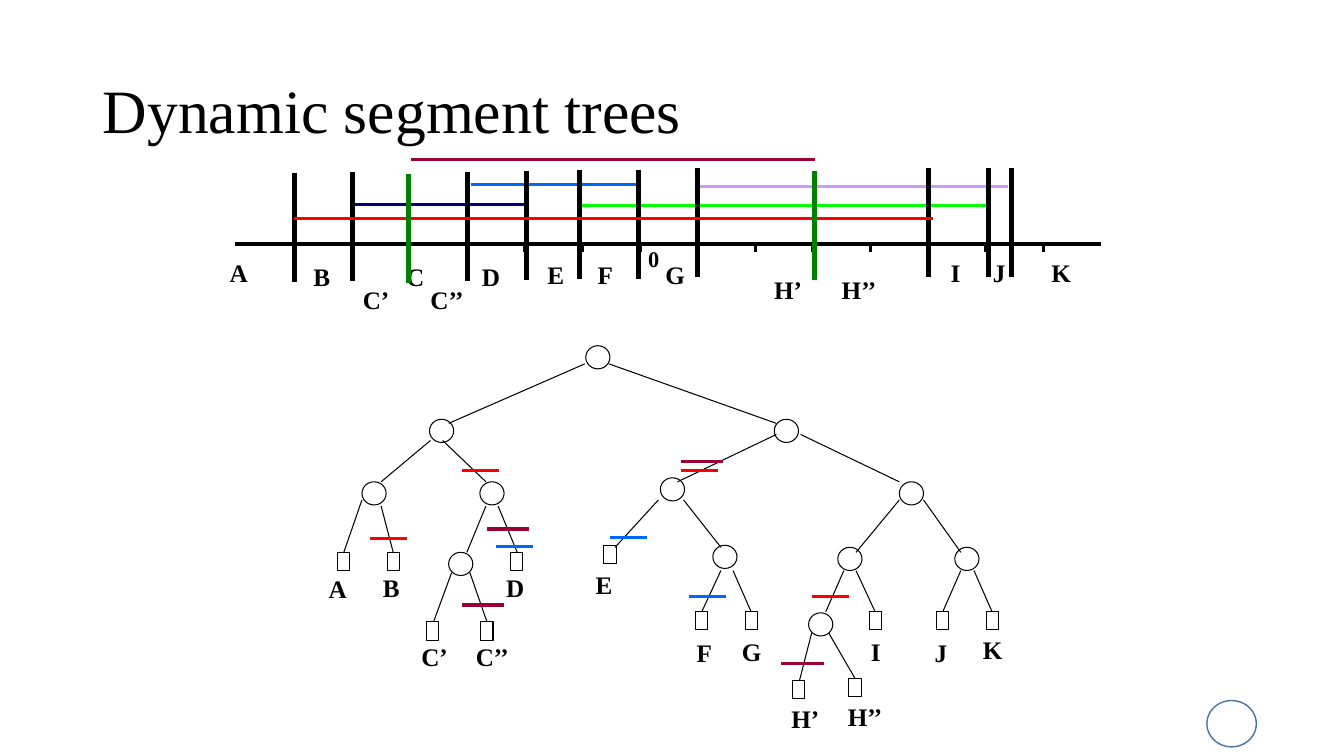
import dataclasses

import lxml.etree
import pptx
import pptx.dml.color
import pptx.enum.shapes
import pptx.enum.text
import pptx.oxml.ns
import pptx.util


@dataclasses.dataclass(frozen=True)
class Theme:
    font: str = "Times New Roman"
    title_size: float = 44
    label_size: float = 18
    zero_size: float = 16
    black: str = "000000"
    red: str = "FF0000"
    blue: str = "0066FF"
    navy: str = "000080"
    lime: str = "00FF00"
    lilac: str = "CC99FF"
    maroon: str = "990033"
    green: str = "008000"
    badge: str = "43739E"
    edge: float = 0.75
    badge_line: float = 1
    segment: float = 2
    axis: float = 2.5
    boundary: float = 3.5


def inches(value):
    return pptx.util.Cm(value * 2.54)


def rgb(color):
    return pptx.dml.color.RGBColor.from_string(color)


class SegmentTreeSlide:
    def __init__(self, presentation, theme):
        self.theme = theme
        self.slide = presentation.slides.add_slide(presentation.slide_layouts[5])
        self.shapes = self.slide.shapes

    def style_text(self, frame, text, size, bold):
        frame.text = text
        paragraph = frame.paragraphs[0]
        paragraph.alignment = pptx.enum.text.PP_ALIGN.LEFT
        paragraph.font.name = self.theme.font
        paragraph.font.size = pptx.util.Pt(size)
        paragraph.font.bold = bold
        paragraph.font.color.rgb = rgb(self.theme.black)
        return paragraph

    def title(self, text, left, top, width, height):
        heading = self.shapes.title
        heading.left, heading.top = inches(left), inches(top)
        heading.width, heading.height = inches(width), inches(height)
        frame = heading.text_frame
        frame.auto_size = pptx.enum.text.MSO_AUTO_SIZE.NONE
        frame.vertical_anchor = pptx.enum.text.MSO_ANCHOR.MIDDLE
        self.style_text(frame, text, self.theme.title_size, False).line_spacing = 0.9

    def label(self, text, left, top, width, height=0.4, size=None, wrap=False, rotation=0):
        box = self.shapes.add_textbox(*map(inches, (left, top, width, height)))
        box.rotation = rotation
        frame = box.text_frame
        frame.word_wrap = wrap
        frame.auto_size = pptx.enum.text.MSO_AUTO_SIZE.SHAPE_TO_FIT_TEXT
        self.style_text(frame, text, size or self.theme.label_size, True)

    def line(self, x1, y1, x2, y2, color, weight):
        connector = self.shapes.add_connector(
            pptx.enum.shapes.MSO_CONNECTOR.STRAIGHT, *map(inches, (x1, y1, x2, y2)))
        connector.line.color.rgb = rgb(color)
        connector.line.width = pptx.util.Pt(weight)
        lxml.etree.SubElement(connector._element.spPr, pptx.oxml.ns.qn("a:effectLst"))

    def outline(self, kind, left, top, width, height, color, weight):
        shape = self.shapes.add_shape(kind, *map(inches, (left, top, width, height)))
        shape.shadow.inherit = False
        shape.fill.background()
        shape.line.color.rgb = rgb(color)
        shape.line.width = pptx.util.Pt(weight)

    def inner_node(self, left, top):
        self.outline(pptx.enum.shapes.MSO_SHAPE.OVAL, left, top, 0.24, 0.23,
                     self.theme.black, self.theme.edge)

    def leaf(self, left, top):
        self.outline(pptx.enum.shapes.MSO_SHAPE.RECTANGLE, left, top, 0.12, 0.18,
                     self.theme.black, self.theme.edge)

    def badge(self, left, top, width, height):
        self.outline(pptx.enum.shapes.MSO_SHAPE.OVAL, left, top, width, height,
                     self.theme.badge, self.theme.badge_line)


THEME = Theme()

SEGMENTS = [
    (5.75, 9.83, 2.04, THEME.lime), (6.92, 10, 1.85, THEME.lilac),
    (3.5, 5.25, 2.03, THEME.navy), (4.67, 6.33, 1.83, THEME.blue),
]
BOUNDARIES = [
    (2.92, 1.72), (3.5, 1.71), (4.64, 1.71), (5.22, 1.7), (5.75, 1.69),
    (6.33, 1.69), (6.92, 1.67), (9.21, 1.67), (9.8, 1.67), (10.03, 1.67),
]
NEW_BOUNDARIES = [(4.05, 1.73), (8.08, 1.7)]
INTERVAL_LABELS = [
    ("A", 2.18, 2.5, 0.42), ("B", 3.01, 2.54, 0.42), ("C", 3.93, 2.54, 0.42),
    ("D", 4.68, 2.54, 0.42), ("E", 5.33, 2.52, 0.42), ("F", 5.83, 2.52, 0.42),
    ("G", 6.5, 2.52, 0.42), ("I", 9.33, 2.5, 0.42), ("J", 9.75, 2.5, 0.42),
    ("K", 10.33, 2.5, 0.42), ("C’", 3.5, 2.77, 0.5), ("C’’", 4.17, 2.77, 0.67),
    ("H’", 7.58, 2.67, 0.5), ("H’’", 8.25, 2.67, 0.67),
]
INNER_NODES = [
    (5.81, 3.43), (4.26, 4.16), (7.68, 4.16), (3.59, 4.78), (4.76, 4.78),
    (6.55, 4.74), (8.92, 4.78), (4.45, 5.48), (7.07, 5.41), (8.31, 5.43),
    (9.47, 5.43), (8.02, 6.08),
]
LEAVES = [
    (3.35, 5.48), (3.84, 5.48), (5.06, 5.48), (5.99, 5.41), (4.23, 6.17),
    (4.77, 6.17), (6.9, 6.07), (7.39, 6.07), (8.62, 6.07), (9.29, 6.07),
    (9.78, 6.07), (7.86, 6.75), (8.42, 6.73),
]
EDGES = [
    (5.8, 3.61, 4.45, 4.2), (6.04, 3.61, 7.7, 4.2),
    (4.27, 4.37, 3.78, 4.78), (4.39, 4.37, 4.82, 4.78),
    (7.7, 4.31, 6.72, 4.78), (7.94, 4.31, 8.92, 4.78),
    (3.59, 4.96, 3.41, 5.48), (3.78, 5.02, 3.9, 5.48),
    (4.82, 5.02, 4.63, 5.48), (4.94, 5.02, 5.13, 5.48),
    (6.53, 4.96, 6.1, 5.43), (6.78, 4.96, 7.15, 5.43),
    (8.92, 4.96, 8.49, 5.48), (9.16, 4.96, 9.53, 5.48),
    (4.48, 5.68, 4.3, 6.17), (4.66, 5.68, 4.83, 6.17),
    (7.15, 5.66, 6.96, 6.07), (7.27, 5.66, 7.45, 6.07),
    (8.37, 5.66, 8.19, 6.07), (8.49, 5.66, 8.68, 6.07),
    (9.53, 5.66, 9.35, 6.07), (9.66, 5.66, 9.84, 6.07),
    (8.05, 6.28, 7.93, 6.75), (8.22, 6.28, 8.48, 6.73),
]
LEAF_LABELS = [
    ("A", 3.16, 5.64, 0.38), ("B", 3.7, 5.63, 0.37), ("C’", 4.08, 6.31, 0.47),
    ("C’’", 4.62, 6.31, 0.55), ("D", 4.92, 5.63, 0.38), ("E", 5.81, 5.6, 0.37),
    ("F", 6.81, 6.27, 0.35), ("G", 7.26, 6.26, 0.4), ("H’", 7.75, 6.93, 0.48),
    ("H’’", 8.31, 6.91, 0.56), ("I", 8.54, 6.26, 0.3), ("J", 9.17, 6.27, 0.33),
    ("K", 9.65, 6.24, 0.4),
]
STORED_MARKS = [
    (THEME.blue, THEME.segment, 0.37, [(4.92, 5.42), (6.05, 5.33), (6.83, 5.92)]),
    (THEME.red, THEME.segment, 0.37, [(3.67, 5.34), (4.58, 4.67), (6.75, 4.67), (8.05, 5.92)]),
    (THEME.maroon, THEME.axis, 0.42, [(4.58, 6), (4.83, 5.25), (6.75, 4.58), (7.75, 6.58)]),
]
AXIS_Y, AXIS_LEFT, AXIS_PIECES = 2.42, 2.33, 15
AXIS_STEP = 8 / (AXIS_PIECES - 1)
PIECE_WIDTH, TICK_HEIGHT, BOUNDARY_HEIGHT = 0.59, 0.08, 1.08


def draw_number_line(page):
    for start, end, y, color in SEGMENTS:
        page.line(start, y, end, y, color, THEME.segment)
    for x, top in BOUNDARIES:
        page.line(x, top, x, top + BOUNDARY_HEIGHT, THEME.black, THEME.boundary)
    page.label("0", 6.33, 2.38, 0.31, 0.37, THEME.zero_size)
    for text, left, top, width in INTERVAL_LABELS:
        page.label(text, left, top, width, wrap=True)
    for piece in range(AXIS_PIECES):
        start = AXIS_LEFT + piece * AXIS_STEP
        end = start + PIECE_WIDTH
        page.line(start, AXIS_Y, end, AXIS_Y, THEME.black, THEME.axis)
        if piece < AXIS_PIECES - 1:
            page.line(end, AXIS_Y, end, AXIS_Y + TICK_HEIGHT, THEME.black, THEME.axis)
    page.line(2.92, 2.17, 9.25, 2.17, THEME.red, THEME.segment)
    page.line(4.08, 1.58, 8.08, 1.58, THEME.maroon, THEME.axis)
    for x, top in NEW_BOUNDARIES:
        page.line(x, top, x, top + BOUNDARY_HEIGHT, THEME.green, THEME.boundary)


def draw_tree(page):
    for position in INNER_NODES:
        page.inner_node(*position)
    for position in LEAVES:
        page.leaf(*position)
    for ends in EDGES:
        page.line(*ends, THEME.black, THEME.edge)
    for text, left, top, width in LEAF_LABELS:
        page.label(text, left, top, width, rotation=359.8)
    for color, weight, width, starts in STORED_MARKS:
        for x, y in starts:
            page.line(x, y, x + width, y, color, weight)


def main():
    presentation = pptx.Presentation()
    presentation.slide_width = inches(13.33)
    presentation.slide_height = inches(7.5)
    page = SegmentTreeSlide(presentation, THEME)
    page.badge(11.97, 6.95, 0.49, 0.46)
    page.title("Dynamic segment trees", 0.92, 0.4, 11.5, 1.45)
    draw_number_line(page)
    draw_tree(page)
    presentation.save("out.pptx")


if __name__ == "__main__":
    main()
